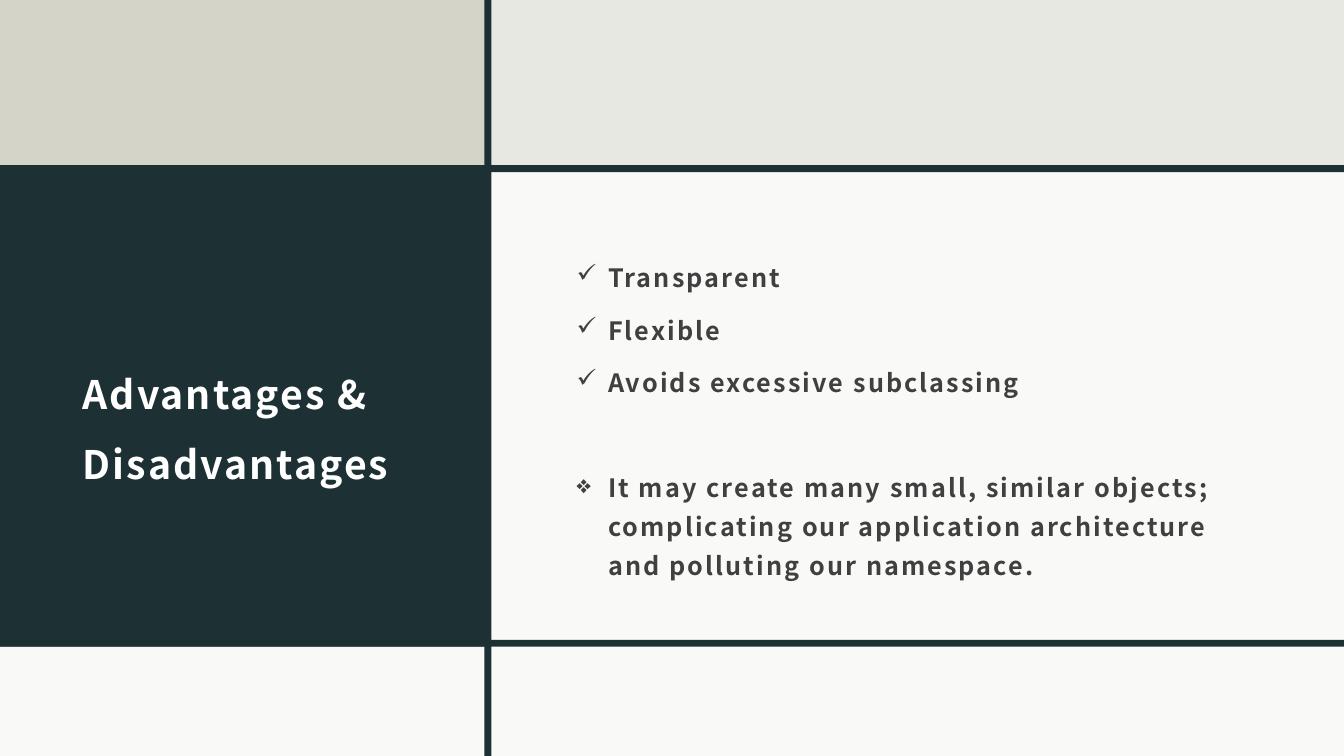
from lxml.etree import SubElement
from pptx import Presentation
from pptx.dml.color import RGBColor
from pptx.enum.shapes import MSO_SHAPE
from pptx.enum.text import MSO_ANCHOR
from pptx.oxml.ns import qn
from pptx.util import Pt

DARK = RGBColor(0x1D, 0x31, 0x34)
PALE = RGBColor(0xE8, 0xE8, 0xE2)
SAND = RGBColor(0xD4, 0xD4, 0xC8)
WHITE = RGBColor(0xFF, 0xFF, 0xFF)
GREY = RGBColor(0x40, 0x40, 0x40)

WIDTH, HEIGHT = 960, 540
COLUMN = 348.5
TOP_ROW, BOTTOM_ROW = 119.5, 462
BAR = 5
TEXT_TOP, TEXT_HEIGHT = 154, 286.5


class SlideBuilder:
    """Holds the text style and the current slide, and adds elements to it."""

    font_name = "Noto Sans CJK JP"
    letter_spacing = "150"
    inset = 8.64
    bottom_inset = 7.2
    bullet_indent = 22.5

    def __init__(self, slide):
        self.slide = slide

    def background(self, color):
        fill = self.slide.background.fill
        fill.solid()
        fill.fore_color.rgb = color

    def panel(self, left, top, width, height, color, opacity=100):
        shape = self.slide.shapes.add_shape(
            MSO_SHAPE.RECTANGLE, Pt(left), Pt(top), Pt(width), Pt(height))
        shape.shadow.inherit = False
        shape.line.fill.background()
        shape.fill.solid()
        shape.fill.fore_color.rgb = color
        if opacity < 100:
            color_element = shape.fill._xPr.find(qn("a:solidFill"))[0]
            SubElement(color_element, qn("a:alpha"), val=str(opacity * 1000))

    def text(self, left, width, paragraphs, size, color, line_spacing):
        box = self.slide.shapes.add_textbox(
            Pt(left), Pt(TEXT_TOP), Pt(width), Pt(TEXT_HEIGHT))
        frame = box.text_frame
        frame.word_wrap = True
        frame.vertical_anchor = MSO_ANCHOR.MIDDLE
        frame.margin_left = frame.margin_right = frame.margin_top = Pt(self.inset)
        frame.margin_bottom = Pt(self.bottom_inset)
        frame.text = "\n".join(text for text, _, _ in paragraphs)
        for paragraph, (_, bullet, space_before) in zip(frame.paragraphs, paragraphs):
            paragraph.line_spacing = line_spacing
            paragraph.space_before = Pt(space_before)
            if bullet:
                self.bullet(paragraph, bullet)
            for run in paragraph.runs:
                run.font.name = self.font_name
                run.font.size = Pt(size)
                run.font.bold = True
                run.font.color.rgb = color
                run.font._element.set("spc", self.letter_spacing)

    def bullet(self, paragraph, character):
        properties = paragraph._p.get_or_add_pPr()
        properties.set("marL", str(Pt(self.bullet_indent)))
        properties.set("indent", str(-Pt(self.bullet_indent)))
        SubElement(properties, qn("a:buChar"), char=character)


presentation = Presentation()
presentation.slide_width = Pt(WIDTH)
presentation.slide_height = Pt(HEIGHT)
builder = SlideBuilder(presentation.slides.add_slide(presentation.slide_layouts[6]))

builder.background(PALE)
builder.panel(0, 118, COLUMN, 344, DARK)
builder.panel(0, 0, COLUMN, TOP_ROW, SAND)
builder.panel(COLUMN, TOP_ROW, WIDTH - COLUMN, BOTTOM_ROW - TOP_ROW, WHITE, 75)
builder.panel(0, BOTTOM_ROW, WIDTH, HEIGHT - BOTTOM_ROW, WHITE, 75)
for bar_top in (118, 457):
    builder.panel(0, bar_top, WIDTH, BAR, DARK)
builder.panel(COLUMN - BAR / 2, 0, BAR, HEIGHT, DARK)

builder.text(50.4, 268.5, [("Advantages & Disadvantages", None, 0)], 28, WHITE, 1.5)
advantages = ["Transparent", "Flexible", "Avoids excessive subclassing"]
disadvantage = ("It may create many small, similar objects; complicating our "
                "application architecture and polluting our namespace.")
points = [(advantage, "✓", 9.3) for advantage in advantages]
points.append((disadvantage, "❖", 46.7))
builder.text(403.2, 506, points, 18, GREY, 1.3)

presentation.save("out.pptx")
